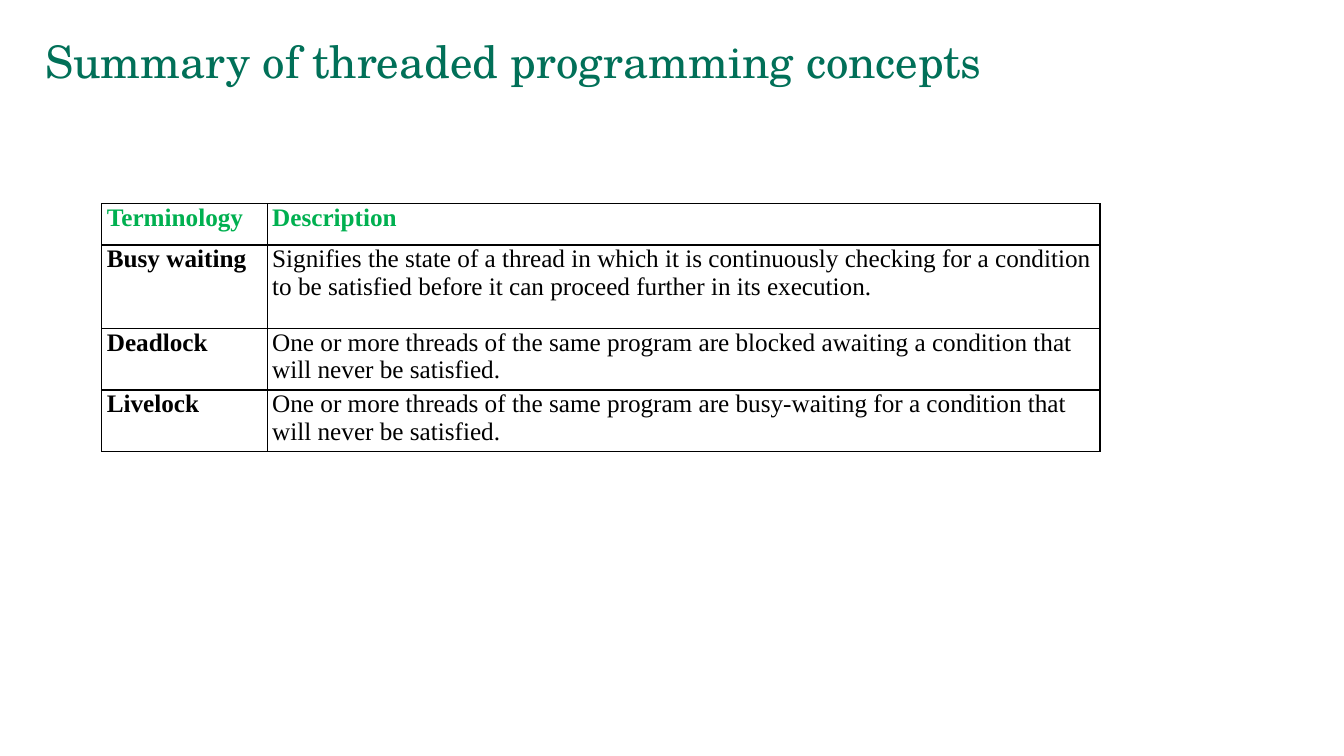
from pptx import Presentation
from pptx.dml.color import RGBColor
from pptx.enum.text import MSO_ANCHOR
from pptx.oxml import parse_xml
from pptx.oxml.ns import nsdecls
from pptx.util import Inches, Pt

TITLE = "Summary of threaded programming concepts"
ROWS = [
    ("Terminology", "Description"),
    ("Busy waiting", "Signifies the state of a thread in which it is continuously checking "
     "for a condition to be satisfied before it can proceed further in its execution."),
    ("Deadlock", "One or more threads of the same program are blocked awaiting "
     "a condition that will never be satisfied."),
    ("Livelock", "One or more threads of the same program are busy-waiting "
     "for a condition that will never be satisfied."),
]
COLUMN_WIDTHS = [1.64, 8.26]
ROW_HEIGHTS = [0.41, 0.83, 0.61, 0.61]
COLORS = {"title": "017058", "header": "00B050", "text": "000000", "border": "000000"}
TITLE_FONT = "TeX Gyre Schola"
TABLE_FONT = "Times New Roman"


def write_text(frame, text, font, size, color, bold=False, spacing=None):
    para = frame.paragraphs[0]
    para.line_spacing = spacing
    span = para.add_run()
    span.text = text
    span.font.name = font
    span.font.size = Pt(size)
    span.font.bold = bold
    span.font.color.rgb = RGBColor.from_string(COLORS[color])


def add_borders(cell):
    properties = cell._tc.get_or_add_tcPr()
    for position, side in enumerate(("lnL", "lnR", "lnT", "lnB")):
        properties.insert(position, parse_xml(
            f'<a:{side} {nsdecls("a")} w="{Pt(1)}"><a:solidFill>'
            f'<a:srgbClr val="{COLORS["border"]}"/></a:solidFill></a:{side}>'))


def add_title(page):
    box = page.shapes.add_textbox(Inches(0.35), Inches(0.3), Inches(12.44), Inches(0.67))
    frame = box.text_frame
    frame.word_wrap = True
    frame.vertical_anchor = MSO_ANCHOR.MIDDLE
    write_text(frame, TITLE, font=TITLE_FONT, size=32, color="title", spacing=0.9)


def add_terms(page):
    table = page.shapes.add_table(
        len(ROWS), len(COLUMN_WIDTHS), Inches(1.01), Inches(2.02),
        Inches(sum(COLUMN_WIDTHS)), Inches(sum(ROW_HEIGHTS))).table
    table.first_row = False
    table.horz_banding = False
    for column, width in zip(table.columns, COLUMN_WIDTHS):
        column.width = Inches(width)
    for row, height in zip(table.rows, ROW_HEIGHTS):
        row.height = Inches(height)
    for row_index, texts in enumerate(ROWS):
        is_header = row_index == 0
        for column_index, text in enumerate(texts):
            cell = table.cell(row_index, column_index)
            cell.margin_left = cell.margin_right = Inches(0.05)
            cell.margin_top = cell.margin_bottom = 0
            cell.fill.background()
            add_borders(cell)
            write_text(cell.text_frame, text, font=TABLE_FONT, size=18,
                       color="header" if is_header else "text",
                       bold=is_header or column_index == 0)


def main():
    deck = Presentation()
    deck.slide_width = Inches(13.33)
    deck.slide_height = Inches(7.5)
    page = deck.slides.add_slide(deck.slide_layouts[6])
    add_title(page)
    add_terms(page)
    deck.save("out.pptx")


if __name__ == "__main__":
    main()
